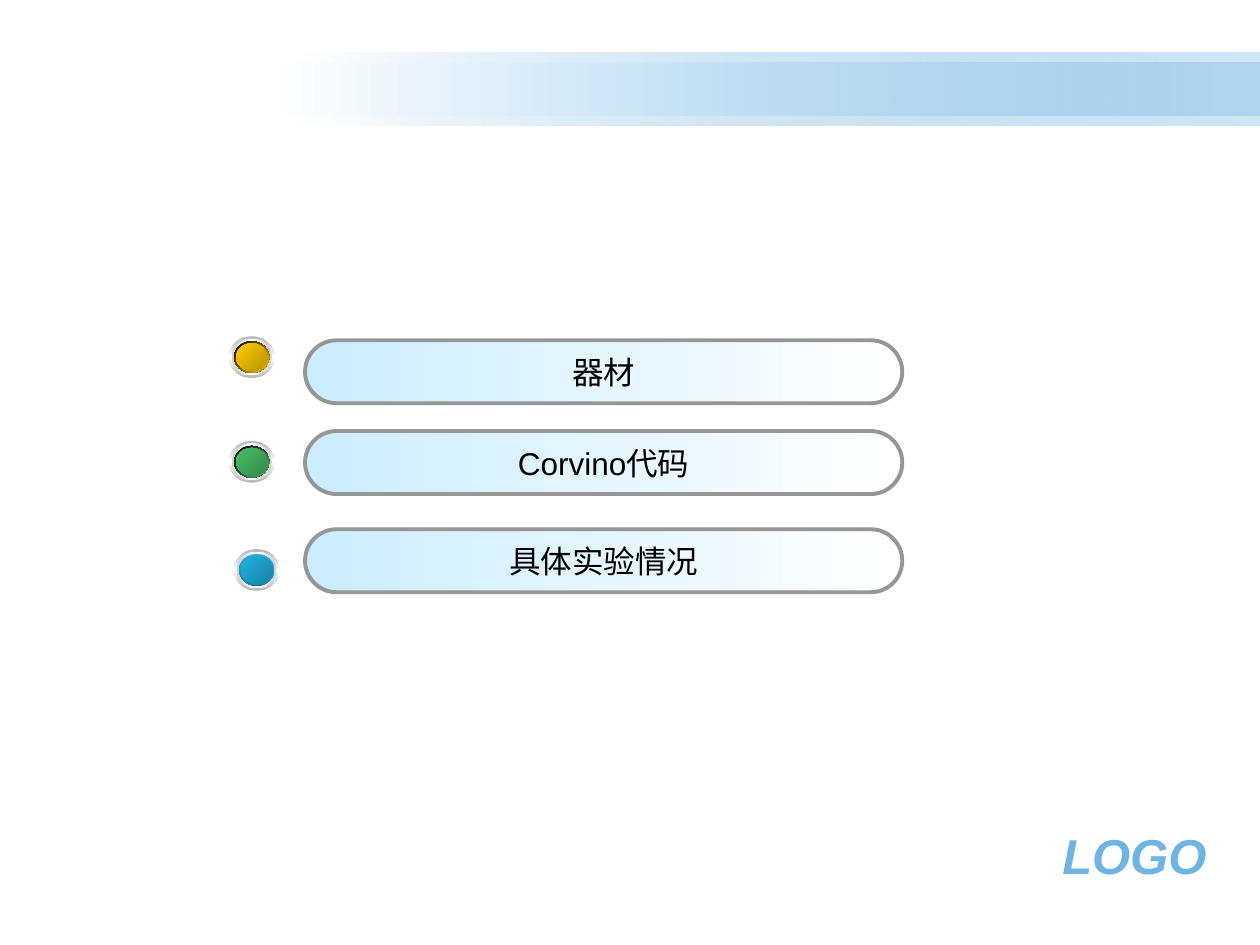
import pptx
import pptx.util
import pptx.dml.color
import pptx.enum.shapes
import pptx.enum.text
import pptx.oxml
import pptx.oxml.ns

Cm, Pt = pptx.util.Cm, pptx.util.Pt
RGBColor = pptx.dml.color.RGBColor
SHAPES = pptx.enum.shapes.MSO_SHAPE
ALIGN = pptx.enum.text.PP_ALIGN

WHITE = RGBColor(0xFF, 0xFF, 0xFF)
BLACK = RGBColor(0x00, 0x00, 0x00)
SKY = RGBColor(0x6F, 0xB4, 0xE3)
PALE_BLUE = RGBColor(0xCC, 0xEC, 0xFF)
BORDER_GRAY = RGBColor(0x96, 0x96, 0x96)
RIM_GRAY = RGBColor(0xB6, 0xB6, 0xB6)
LIGHT_GRAY = RGBColor(0xD1, 0xD1, 0xD1)
PINK = RGBColor(0xD1, 0x7F, 0xB6)
DARK_PINK = RGBColor(0xA0, 0x61, 0x8B)
YELLOW = RGBColor(0xFF, 0xCC, 0x00)
DARK_YELLOW = RGBColor(0xBA, 0x95, 0x00)
GREEN = RGBColor(0x48, 0xBE, 0x67)
DARK_GREEN = RGBColor(0x35, 0x8B, 0x4B)
BLUE = RGBColor(0x21, 0xB3, 0xE1)
DARK_BLUE = RGBColor(0x18, 0x83, 0xA4)
DEEP_BLUE = RGBColor(0x18, 0x80, 0xA1)

FONT = "Arial"

# Label, bar top, bead left, bead top, (well colours, well angle), face colours
ITEMS = [
    ("器材", 6.86, 4.62, 6.78, ([BLACK, YELLOW], 45), [YELLOW, DARK_YELLOW]),
    ("Corvino代码", 8.69, 4.62, 8.89, ([BLACK, GREEN], 45), [GREEN, DARK_GREEN]),
    ("具体实验情况", 10.67, 4.72, 11.07, ([BLUE, DEEP_BLUE], 90), [BLUE, DARK_BLUE]),
]


def set_gradient(shape, colors, angle, end_alpha=100):
    """Fill with evenly spaced stops; the angle runs clockwise in degrees."""
    shape.fill.gradient()
    gradient = shape.fill._xPr.find(pptx.oxml.ns.qn("a:gradFill"))
    last = len(colors) - 1
    stops = ""
    for index, color in enumerate(colors):
        alpha = end_alpha if index == last else 100
        stops += (f'<a:gs pos="{100000 * index // last}"><a:srgbClr val="{color}">'
                  f'<a:alpha val="{alpha * 1000}"/></a:srgbClr></a:gs>')
    source = pptx.oxml.parse_xml(
        f'<a:gradFill {pptx.oxml.ns.nsdecls("a")} rotWithShape="1">'
        f'<a:gsLst>{stops}</a:gsLst><a:lin ang="{angle * 60000}" scaled="0"/></a:gradFill>')
    gradient.getparent().replace(gradient, source)


def add_gradient_shape(shapes, kind, box, colors, angle, end_alpha=100):
    shape = shapes.add_shape(kind, *(Cm(length) for length in box))
    shape.shadow.inherit = False
    shape.line.fill.background()
    set_gradient(shape, colors, angle, end_alpha)
    return shape


def write_line(frame, text, size, color, align):
    para = frame.paragraphs[0]
    para.text = text
    para.alignment = align
    para.font.name = FONT
    para.font.size = Pt(size)
    para.font.color.rgb = color
    return para


def add_title_band(page, left, top, width, height):
    """Two overlaid strips that fade in from the left."""
    inset = 0.2
    for box in ((left + 0.4, top, width - 0.4, height),
                (left, top + inset, width, height - 2 * inset)):
        add_gradient_shape(page.shapes, SHAPES.RECTANGLE, box, [WHITE, SKY], 0, 32)


def add_footer_mark(page, left, top, width, height):
    box = page.shapes.add_textbox(Cm(left), Cm(top), Cm(width), Cm(height))
    box.text_frame.word_wrap = True
    para = write_line(box.text_frame, "LOGO", 28, SKY, ALIGN.RIGHT)
    para.font.bold = True
    para.font.italic = True


def add_bead(page, left, top, width, height, well, face):
    """Concentric ovals, from the outer rim to the coloured face."""
    layers = [
        (0, [RIM_GRAY, WHITE, RIM_GRAY], 90),
        (0.05, [LIGHT_GRAY, WHITE, LIGHT_GRAY], 0),
        (0.1, [WHITE, PINK, WHITE], 45),
        (0.1, *well),
        (0.14, [DARK_PINK, PINK, DARK_PINK], 315),
        (0.14, face, 45),
    ]
    group = page.shapes.add_group_shape()
    for inset, colors, angle in layers:
        box = (left + inset, top + inset, width - 2 * inset, height - 2 * inset)
        add_gradient_shape(group.shapes, SHAPES.OVAL, box, colors, angle)


def add_bar(page, left, top, width, height, label):
    bar = add_gradient_shape(page.shapes, SHAPES.ROUNDED_RECTANGLE,
                             (left, top, width, height), [PALE_BLUE, WHITE], 0)
    bar.adjustments[0] = 0.5
    bar.line.color.rgb = BORDER_GRAY
    bar.line.width = Pt(2.25)
    frame = bar.text_frame
    frame.word_wrap = False
    frame.vertical_anchor = pptx.enum.text.MSO_ANCHOR.MIDDLE
    write_line(frame, label, 18, BLACK, ALIGN.CENTER)


def main():
    deck = pptx.Presentation()
    deck.slide_width, deck.slide_height = Cm(25.4), Cm(19.05)
    page = deck.slides.add_slide(deck.slide_layouts[6])

    # Header and footer
    add_title_band(page, 5.51, 1.06, 19.89, 1.48)
    add_footer_mark(page, 20, 16.51, 4.57, 1.45)

    # Agenda items
    for label, bar_top, bead_left, bead_top, well, face in ITEMS:
        add_bead(page, bead_left, bead_top, 0.91, 0.84, well, face)
        add_bar(page, 6.15, bar_top, 12.04, 1.27, label)

    deck.save("out.pptx")


if __name__ == "__main__":
    main()
